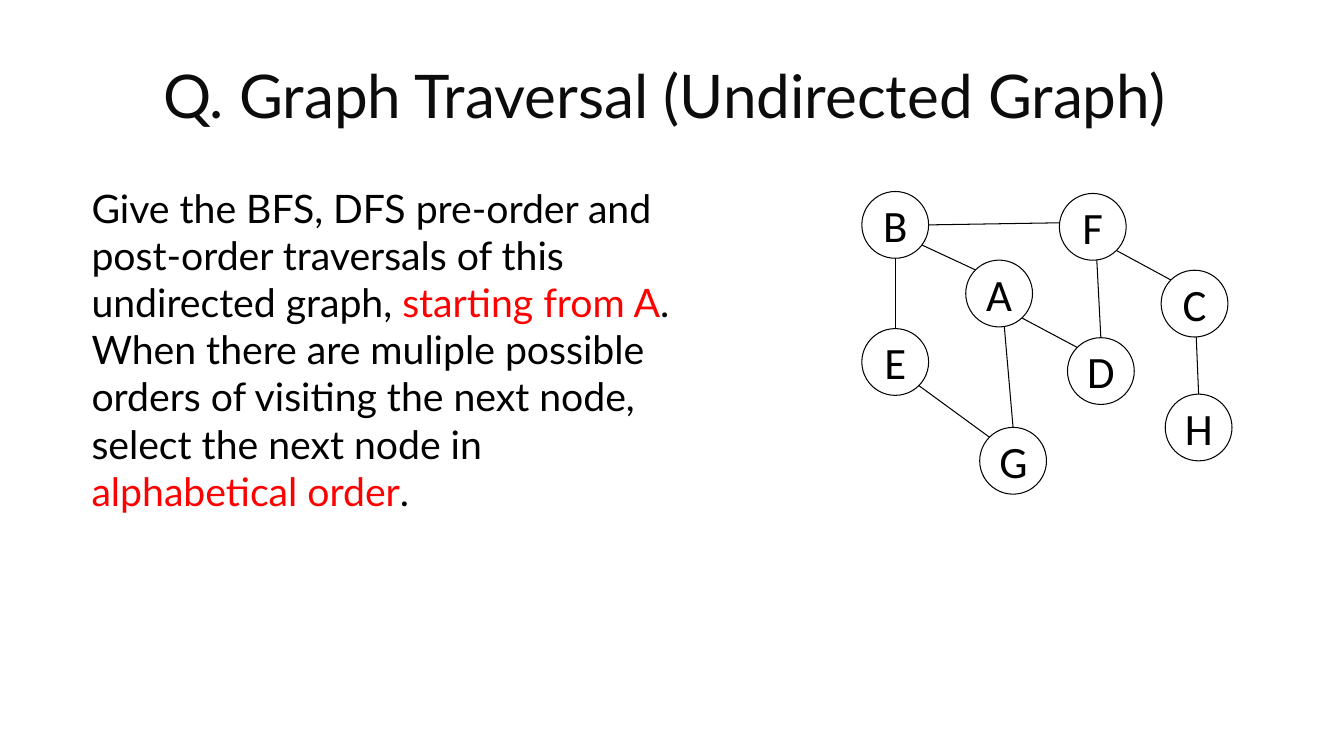
import math
from dataclasses import dataclass

import pptx
import pptx.dml.color
import pptx.enum.shapes
import pptx.enum.text
import pptx.oxml
import pptx.oxml.ns
import pptx.util

Pt = pptx.util.Pt
ANCHOR = pptx.enum.text.MSO_ANCHOR
ALIGN = pptx.enum.text.PP_ALIGN
BLACK, WHITE, RED, TITLE_INK = "000000", "FFFFFF", "FF0000", "0C0C0C"
DIAMETER = 47.7
INSETS = {f"margin_{side}": Pt(7.2) for side in ("left", "top", "right", "bottom")}


@dataclass
class Node:
    label: str
    left: float
    top: float

    def rim(self, degrees: float) -> tuple:
        """Point on the circle, clockwise from the right."""
        radius, angle = DIAMETER / 2, math.radians(degrees)
        return (Pt(self.left + radius * (1 + math.cos(angle))),
                Pt(self.top + radius * (1 + math.sin(angle))))


@dataclass
class Edge:
    start: str
    start_angle: float
    end: str
    end_angle: float


@dataclass
class Run:
    text: str
    color: str


NODES = [
    Node("F", 756.7, 138.2), Node("C", 829.4, 193), Node("D", 762.5, 241.2),
    Node("A", 689.8, 185.8), Node("E", 615.6, 234.7), Node("B", 615.6, 136.8),
    Node("H", 832.3, 281.5), Node("G", 699.8, 305.3),
]
EDGES = [
    Edge("F", 45, "C", 225), Edge("D", 225, "A", 47), Edge("A", 225, "B", 37),
    Edge("F", 187, "B", 0), Edge("E", 270, "B", 90), Edge("G", 225, "E", 45),
    Edge("G", 270, "A", 81), Edge("D", 270, "F", 83), Edge("H", 270, "C", 87),
]
QUESTION = [
    Run("Give the BFS, DFS pre-order and post-order traversals of this undirected graph, ", BLACK),
    Run("starting from A", RED),
    Run(". When there are muliple possible orders of visiting the next node, "
        "select the next node in ", BLACK),
    Run("alphabetical order", RED),
    Run(".", BLACK),
]


def rgb(color: str) -> pptx.dml.color.RGBColor:
    return pptx.dml.color.RGBColor.from_string(color)


def write(shape, runs: list, font: str, size: float, align, frame_format: dict) -> None:
    frame = shape.text_frame
    for name, value in frame_format.items():
        setattr(frame, name, value)
    paragraph = frame.paragraphs[0]
    paragraph.alignment = align
    for part in runs:
        run = paragraph.add_run()
        run.text = part.text
        for name, value in {"name": font, "size": Pt(size)}.items():
            setattr(run.font, name, value)
        run.font.color.rgb = rgb(part.color)


def outline(line) -> None:
    line.color.rgb = rgb(BLACK)
    line.width = Pt(0.75)


def draw_node(slide, node: Node) -> None:
    circle = slide.shapes.add_shape(pptx.enum.shapes.MSO_SHAPE.OVAL, Pt(node.left),
                                    Pt(node.top), Pt(DIAMETER), Pt(DIAMETER))
    circle.shadow.inherit = False
    circle.fill.solid()
    circle.fill.fore_color.rgb = rgb(WHITE)
    outline(circle.line)
    write(circle, [Run(node.label, BLACK)], "Calibri", 32, ALIGN.CENTER,
          {**INSETS, "vertical_anchor": ANCHOR.MIDDLE, "word_wrap": True})


def draw_edge(slide, edge: Edge, nodes: dict) -> None:
    connector = slide.shapes.add_connector(
        pptx.enum.shapes.MSO_CONNECTOR.STRAIGHT,
        *nodes[edge.start].rim(edge.start_angle), *nodes[edge.end].rim(edge.end_angle))
    outline(connector.line)
    properties = connector._element.spPr
    properties.append(pptx.oxml.parse_xml(
        f'<a:effectLst {pptx.oxml.ns.nsdecls("a")}/>'))


def main() -> None:
    presentation = pptx.Presentation()
    presentation.slide_width, presentation.slide_height = Pt(960), Pt(540)
    slide = presentation.slides.add_slide(presentation.slide_layouts[6])

    # Title
    title = slide.shapes.add_textbox(Pt(99.4), Pt(37.4), Pt(761), Pt(60.5))
    write(title, [Run("Q. Graph Traversal (Undirected Graph) ", TITLE_INK)], "Lato", 43,
          ALIGN.CENTER, {"vertical_anchor": ANCHOR.MIDDLE, "word_wrap": True})

    # Graph
    for node in NODES:
        draw_node(slide, node)
    nodes = {node.label: node for node in NODES}
    for edge in EDGES:
        draw_edge(slide, edge, nodes)

    # Question
    question = slide.shapes.add_textbox(Pt(58.3), Pt(124.6), Pt(437), Pt(252))
    write(question, QUESTION, "Lato", 28, ALIGN.LEFT,
          {**INSETS, "vertical_anchor": ANCHOR.TOP, "word_wrap": True,
           "auto_size": pptx.enum.text.MSO_AUTO_SIZE.SHAPE_TO_FIT_TEXT})

    presentation.save("out.pptx")


if __name__ == "__main__":
    main()
